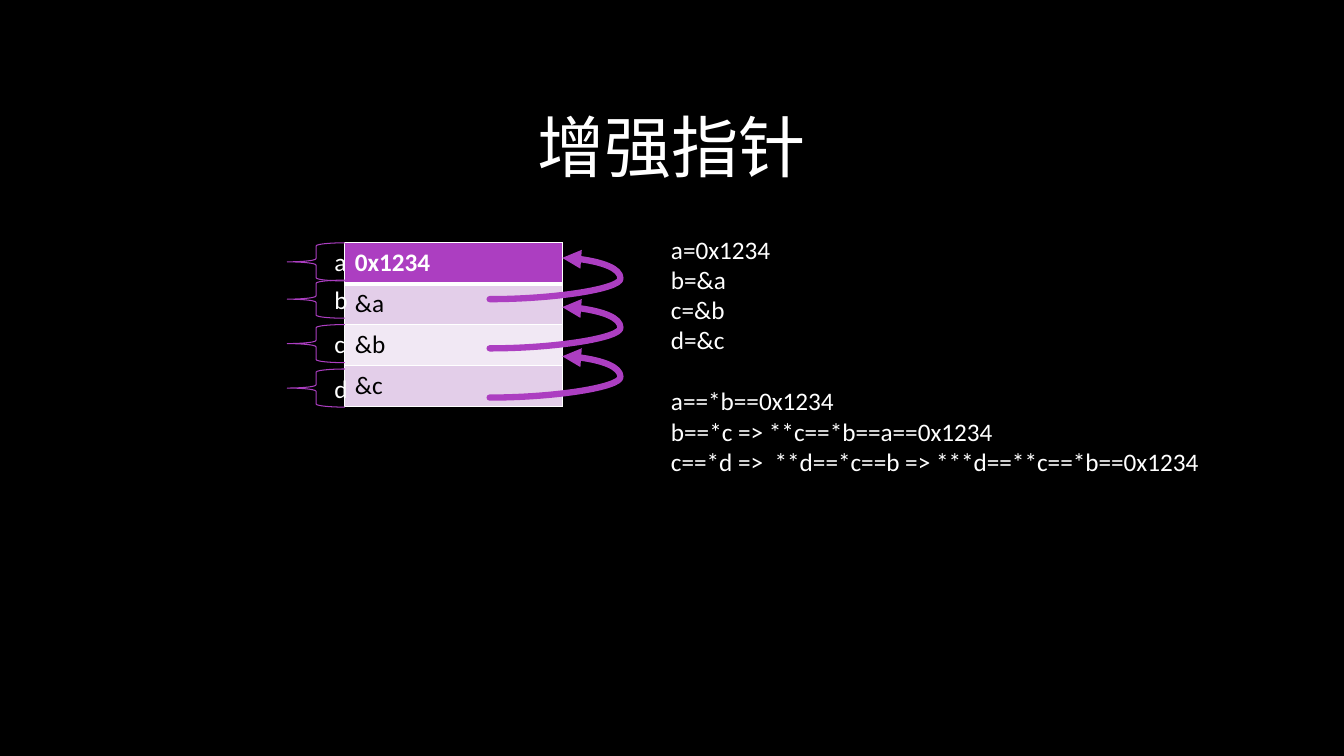
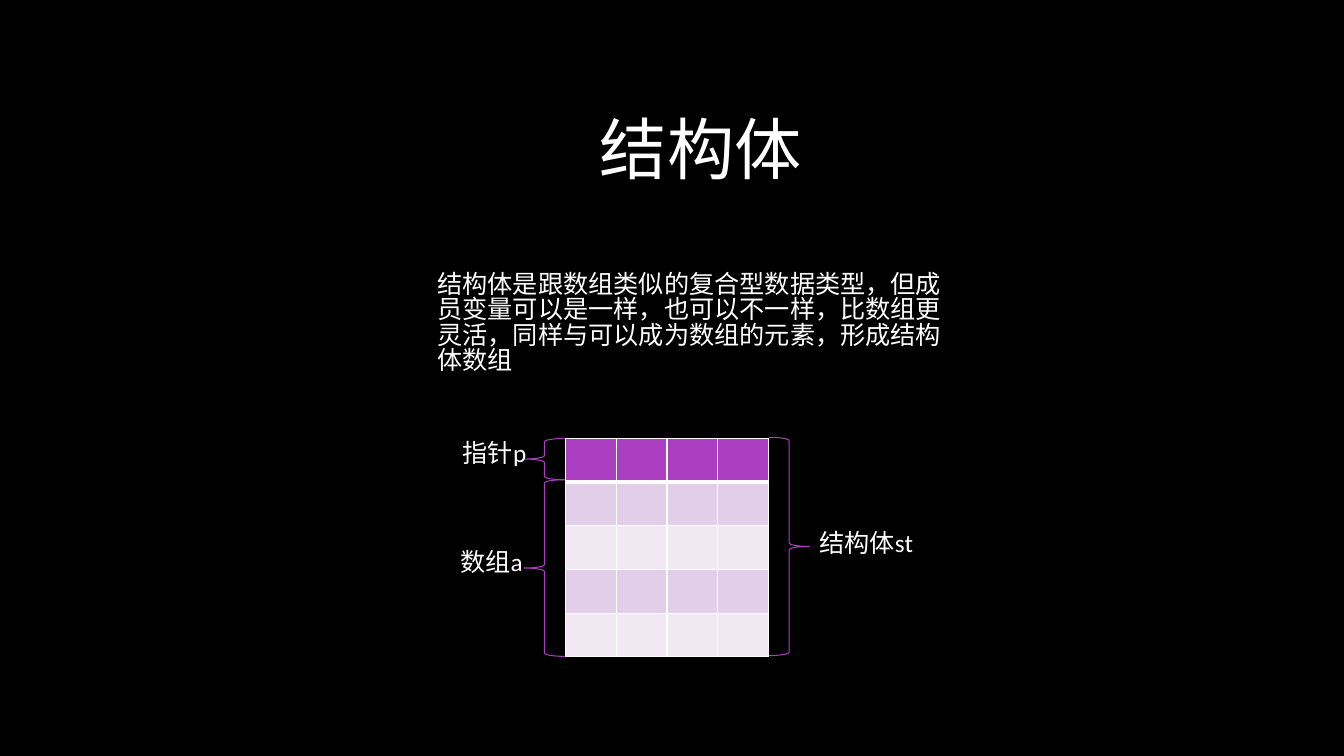
from dataclasses import dataclass

from lxml.etree import SubElement
from pptx import Presentation
from pptx.dml.color import RGBColor
from pptx.enum.shapes import MSO_CONNECTOR as Connector, MSO_SHAPE as Preset
from pptx.enum.text import MSO_ANCHOR as Anchor, PP_ALIGN as Align
from pptx.oxml import parse_xml
from pptx.oxml.ns import nsdecls, qn
from pptx.util import Cm, Pt


@dataclass(frozen=True)
class Theme:
    background: str = "000000"
    light: str = "FFFFFF"
    dark: str = "000000"
    accent: str = "AC3EC1"
    bands: tuple = ("E3CEE9", "F1E8F4")
    latin: str = "Calibri"
    chinese: str = "Noto Sans CJK SC"
    title_size: int = 48
    body_size: int = 18
    chinese_spacing: float = 0.84
    paragraph_gap: int = 22
    thin_line: float = 0.75
    arrow_line: float = 4.5
    cell_border: int = 1
    header_border: int = 3


def color(value):
    return RGBColor.from_string(value)


def is_chinese(text):
    return any(ord(letter) >= 0x2E80 for letter in text)


class Deck:
    """Holds the style and the current slide."""

    def __init__(self, theme):
        self.theme = theme
        self.presentation = Presentation()
        self.presentation.slide_width = Cm(33.87)
        self.presentation.slide_height = Cm(19.05)
        self.slide = None

    def new_slide(self, title, left, top):
        blank = self.presentation.slide_layouts[6]
        self.slide = self.presentation.slides.add_slide(blank)
        fill = self.slide.background.fill
        fill.solid()
        fill.fore_color.rgb = color(self.theme.background)
        frame = self.text([title], left, top, 24, 2.67,
                          size=self.theme.title_size, align=Align.CENTER)
        frame.vertical_anchor = Anchor.BOTTOM
        frame.margin_bottom = 0

    def styled_run(self, paragraph, text, ink=None, size=None, bold=False,
                   align=Align.LEFT):
        theme = self.theme
        paragraph.alignment = align
        run = paragraph.add_run()
        run.text = text
        font = run.font
        font.size = Pt(size or theme.body_size)
        font.bold = bold
        font.color.rgb = color(ink or theme.light)
        font.name = theme.latin
        if is_chinese(text):
            paragraph.line_spacing = theme.chinese_spacing
            properties = run._r.get_or_add_rPr()
            SubElement(properties, qn("a:ea"), typeface=theme.chinese)

    def text(self, lines, left, top, width, height, gap_before=None, **style):
        box = self.slide.shapes.add_textbox(Cm(left), Cm(top), Cm(width), Cm(height))
        frame = box.text_frame
        frame.word_wrap = True
        for index, line in enumerate(lines):
            paragraph = frame.add_paragraph() if index else frame.paragraphs[0]
            if index == gap_before:
                paragraph.space_before = Pt(self.theme.paragraph_gap)
            self.styled_run(paragraph, line, **style)
        return frame

    def brace(self, preset, left, top, width, height, label=None):
        shape = self.slide.shapes.add_shape(
            preset, Cm(left), Cm(top), Cm(width), Cm(height))
        shape.shadow.inherit = False
        shape.fill.background()
        shape.line.color.rgb = color(self.theme.accent)
        shape.line.width = Pt(self.theme.thin_line)
        if label:
            shape.text_frame.vertical_anchor = Anchor.MIDDLE
            self.styled_run(shape.text_frame.paragraphs[0], label, align=Align.CENTER)

    def curved_arrow(self, start, end, bend):
        x1, y1, x2, y2 = map(Cm, (*start, *end))
        arrow = self.slide.shapes.add_connector(Connector.CURVE, x1, y1, x2, y2)
        arrow.line.color.rgb = color(self.theme.accent)
        arrow.line.width = Pt(self.theme.arrow_line)
        properties = arrow._element.spPr
        # Bend, round cap, arrowhead and no shadow
        adjustments = properties.find(qn("a:prstGeom")).get_or_add_avLst()
        SubElement(adjustments, qn("a:gd"), name="adj1", fmla=f"val {bend}")
        line = properties.find(qn("a:ln"))
        line.set("cap", "rnd")
        SubElement(line, qn("a:tailEnd"), type="triangle")
        SubElement(properties, qn("a:effectLst"))

    def border(self, cell, sides):
        properties = cell._tc.get_or_add_tcPr()
        for index, (side, width) in enumerate(sides.items()):
            properties.insert(index, parse_xml(
                f'<a:ln{side} {nsdecls("a")} w="{Pt(width)}"><a:solidFill>'
                f'<a:srgbClr val="{self.theme.light}"/></a:solidFill></a:ln{side}>'))

    def table(self, rows, left, top, column_width, row_height):
        theme = self.theme
        columns = len(rows[0])
        table = self.slide.shapes.add_table(
            len(rows), columns, Cm(left), Cm(top),
            Cm(column_width * columns), Cm(row_height * len(rows))).table
        table.first_row = table.horz_banding = False
        for column in table.columns:
            column.width = Cm(column_width)
        for r, texts in enumerate(rows):
            table.rows[r].height = Cm(row_height)
            header = r == 0
            sides = dict.fromkeys("LRTB", theme.cell_border)
            if r < 2:  # the thick rule below the header
                sides["B" if header else "T"] = theme.header_border
            for c, text in enumerate(texts):
                cell = table.cell(r, c)
                cell.fill.solid()
                cell.fill.fore_color.rgb = color(
                    theme.accent if header else theme.bands[(r - 1) % 2])
                self.border(cell, sides)
                if text:
                    self.styled_run(cell.text_frame.paragraphs[0], text, bold=header,
                                    ink=theme.light if header else theme.dark)


def pointer_slide(deck):
    deck.new_slide("增强指针", 4.93, 2.03)

    # Memory cells with their variable names
    deck.table([["0x1234"], ["&a"], ["&b"], ["&c"]], 8.69, 6.12, 5.49, 1.03)
    for name, top in zip("abcd", (6.12, 7.06, 8.18, 9.3)):
        deck.brace(Preset.LEFT_BRACE, 7.24, top, 1.45, 0.96, name)

    # Each pointer leads to the cell above
    for step in range(3):
        drop = step * 1.24
        deck.curved_arrow((12.34, 7.54 + drop), (14.17, 6.5 + drop), 180200)

    # Assignments, then what follows from them
    deck.text(["a=0x1234", "b=&a", "c=&b", "d=&c",
               "a==*b==0x1234",
               "b==*c => **c==*b==a==0x1234",
               "c==*d =>  **d==*c==b => ***d==**c==*b==0x1234"],
              16.66, 5.77, 15.44, 6.4, gap_before=4)


def struct_slide(deck):
    deck.new_slide("结构体", 5.66, 2.08)
    deck.text(["结构体是跟数组类似的复合型数据类型，但成员变量可以是一样，"
               "也可以不一样，比数组更灵活，同样与可以成为数组的元素，形成结构体数组"],
              10.77, 6.76, 13.77, 3.33)

    # Memory layout of the struct
    deck.table([[""] * 4] * 5, 14.25, 11.05, 1.28, 1.1)
    deck.brace(Preset.LEFT_BRACE, 13.21, 11.05, 1.02, 1.04)
    deck.brace(Preset.LEFT_BRACE, 13.21, 12.09, 1.02, 4.45)
    deck.brace(Preset.RIGHT_BRACE, 19.38, 11.02, 1.02, 5.5)

    # Member names
    deck.text(["指针p"], 11.13, 11.02, 2.67, 1.02, align=Align.CENTER)
    deck.text(["数组a"], 11.35, 13.77, 2.44, 1.02)
    deck.text(["结构体st"], 20.4, 13.28, 3.02, 1.02)


def main():
    deck = Deck(Theme())
    pointer_slide(deck)
    struct_slide(deck)
    deck.presentation.save("out.pptx")


if __name__ == "__main__":
    main()
